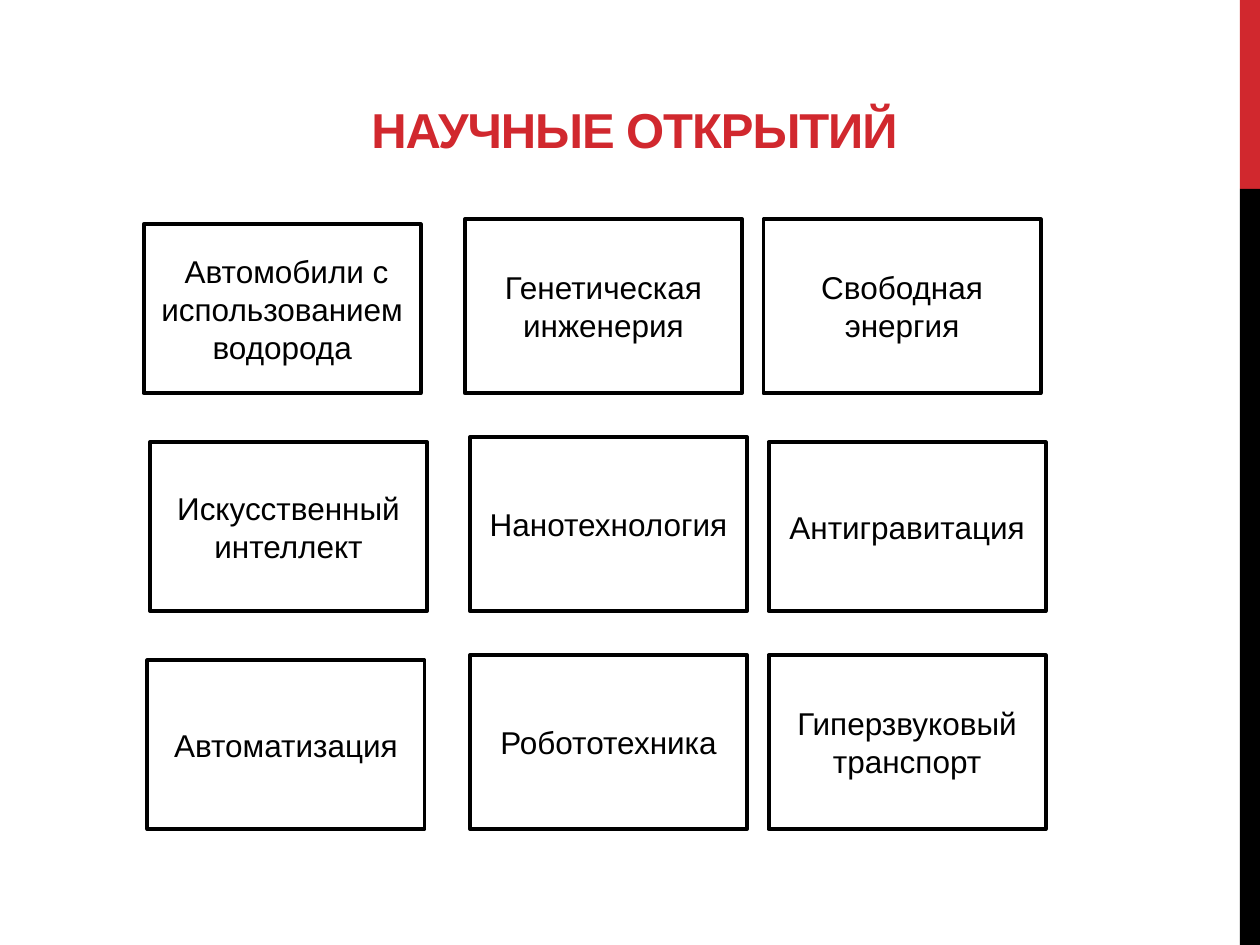
from pptx import Presentation
from pptx import util as u
from pptx.dml.color import RGBColor
from pptx.enum import shapes, text

RED, BLACK, WHITE = "D1282E", "000000", "FFFFFF"
TOP_BOTTOM, ROW_PITCH = 3.12, 1.73
BOX_WIDTH, LOW, HIGH = 2.2, 1.34, 1.38
ROWS = [
    [(1.14, LOW, " Автомобили с использованием водорода"),
     (3.69, HIGH, "Генетическая инженерия"),
     (6.06, HIGH, "Свободная энергия")],
    [(1.19, LOW, "Искусственный интеллект"),
     (3.73, HIGH, "Нанотехнология"),
     (6.1, LOW, "Антигравитация")],
    [(1.17, LOW, "Автоматизация"),
     (3.73, HIGH, "Робототехника"),
     (6.1, HIGH, "Гиперзвуковый транспорт")],
]


def rgb(value):
    return RGBColor.from_string(value)


class Deck:
    """Holds the style and the current slide, and adds its elements."""

    font = "Arial"

    def __init__(self, prs):
        self.s = prs.slides.add_slide(prs.slide_layouts[5])

    def label(self, tf, words, size, color, anchor, bold=False):
        tf.word_wrap = True
        tf.vertical_anchor = anchor
        p = tf.paragraphs[0]
        p.alignment = text.PP_ALIGN.CENTER
        r = p.add_run()
        r.text = words
        p.font.name, p.font.size, p.font.bold = self.font, u.Pt(size), bold
        p.font.color.rgb = rgb(color)
        return r

    def title(self, words, left, top, width, height):
        sp = self.s.shapes.title
        sp.left, sp.top = u.Inches(left), u.Inches(top)
        sp.width, sp.height = u.Inches(width), u.Inches(height)
        r = self.label(sp.text_frame, words, 28, RED, text.MSO_ANCHOR.BOTTOM, True)
        r._r.get_or_add_rPr().set("spc", "-60")

    def rect(self, left, top, width, height, fill):
        sp = self.s.shapes.add_shape(
            shapes.MSO_SHAPE.RECTANGLE, u.Inches(left), u.Inches(top),
            u.Inches(width), u.Inches(height))
        sp.shadow.inherit = False
        sp.fill.solid()
        sp.fill.fore_color.rgb = rgb(fill)
        sp.line.fill.background()
        return sp

    def box(self, left, top, width, height, words):
        sp = self.rect(left, top, width, height, WHITE)
        sp.line.color.rgb = rgb(BLACK)
        sp.line.width = u.Pt(2.25)
        self.label(sp.text_frame, words, 18, BLACK, text.MSO_ANCHOR.MIDDLE)


def main():
    prs = Presentation()
    prs.slide_width, prs.slide_height = u.Inches(10), u.Inches(7.5)
    deck = Deck(prs)
    deck.rect(9.84, 0, 0.16, 1.5, RED)
    deck.rect(9.84, 1.5, 0.16, 6, BLACK)
    deck.title("НАУЧНЫЕ ОТКРЫТИЙ", 0.5, 0.17, 9.07, 1.14)
    for i, row in enumerate(ROWS):
        bottom = TOP_BOTTOM + i * ROW_PITCH
        for left, height, words in row:
            deck.box(left, bottom - height, BOX_WIDTH, height, words)
    prs.save("out.pptx")


if __name__ == "__main__":
    main()
